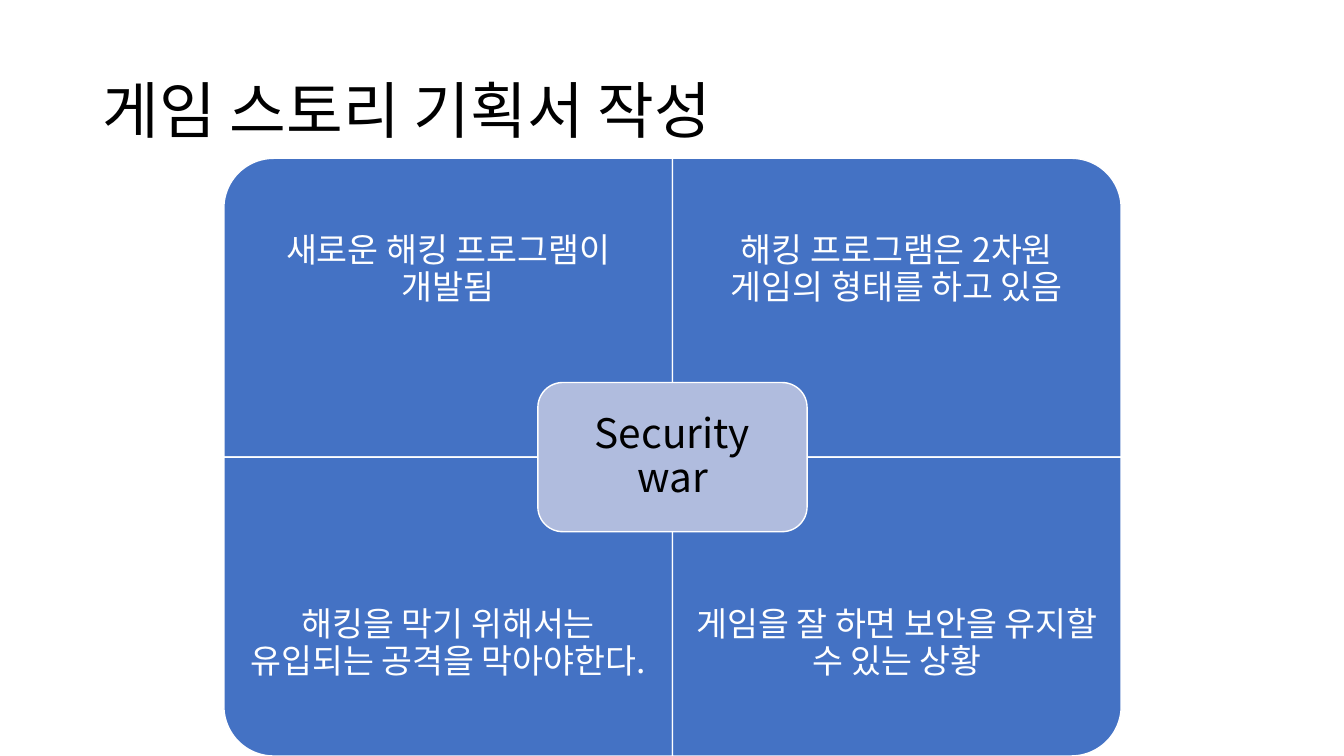
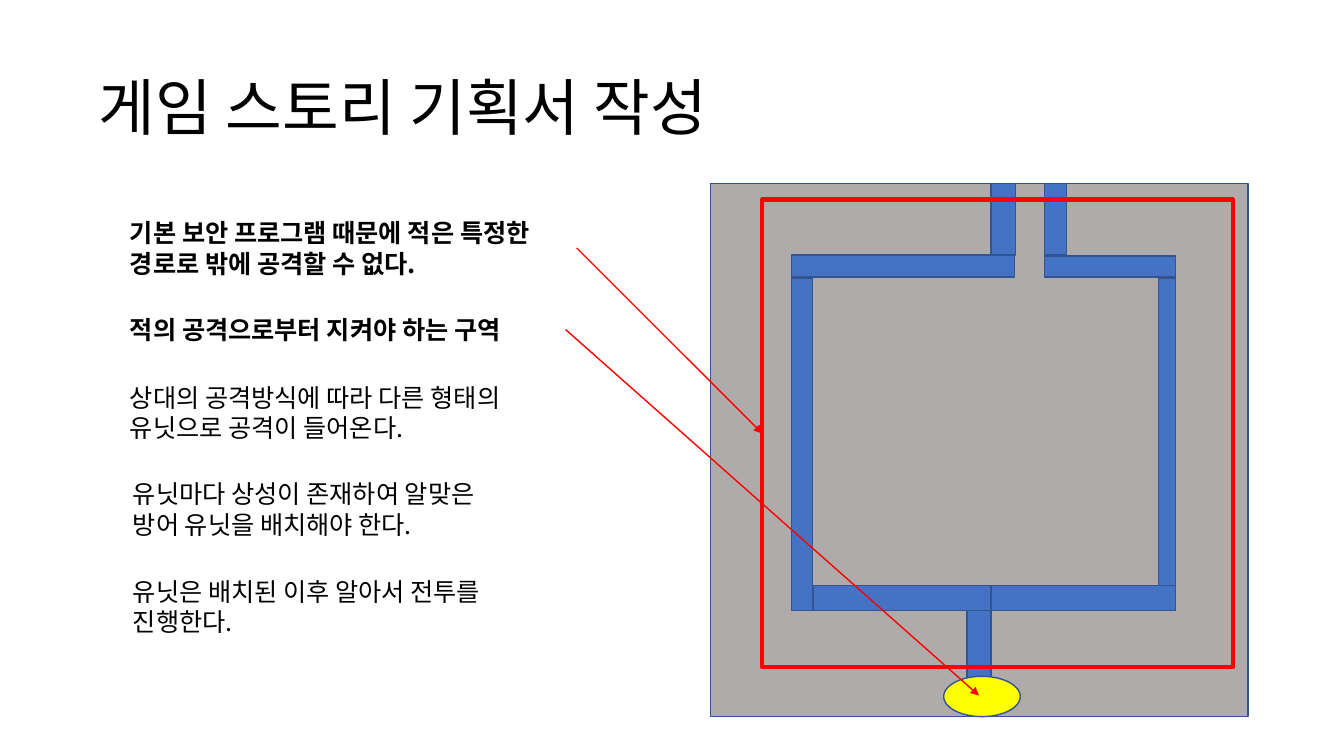
from lxml.etree import SubElement
from pptx import Presentation
from pptx.dml.color import RGBColor
from pptx.enum.shapes import MSO_CONNECTOR, MSO_SHAPE
from pptx.enum.text import MSO_ANCHOR, PP_ALIGN
from pptx.oxml.ns import qn
from pptx.util import Inches, Pt

FONT = "Noto Sans CJK KR"
BLUE, NAVY, LILAC, GRAY = "4472C4", "325491", "B0BCDE", "AFABAB"
RED, YELLOW, WHITE, BLACK = "FF0000", "FFFF00", "FFFFFF", "000000"

TITLE = "게임 스토리 기획서 작성"

# Row by row; each rotation turns the rounded corner outwards
QUADRANTS = [
    [("새로운 해킹 프로그램이\n개발됨", 270),
     ("해킹 프로그램은 2차원\n게임의 형태를 하고 있음", 0)],
    [("해킹을 막기 위해서는 유입되는 공격을 막아야한다.", 180),
     ("게임을 잘 하면 보안을 유지할 수 있는 상황", 90)],
]
CORE = "Security war"
MATRIX_LEFT, MATRIX_TOP = 2.22, 1.57
CELL_W, CELL_H = 4.45, 2.965
LABEL_H = 2.22
CORE_W, CORE_H = 2.67, 1.48

# Text, left, top, width, bold
NOTES = [
    ("기본 보안 프로그램 때문에 적은 특정한 경로로 밖에 공격할 수 없다.", 1.19, 2.11, 4.52, True),
    ("적의 공격으로부터 지켜야 하는 구역", 1.19, 3.07, 4.41, True),
    ("상대의 공격방식에 따라 다른 형태의 유닛으로 공격이 들어온다.", 1.19, 3.74, 4.07, False),
    ("유닛마다 상성이 존재하여 알맞은 방어 유닛을 배치해야 한다.", 1.22, 4.7, 4.07, False),
    ("유닛은 배치된 이후 알아서 전투를 진행한다.", 1.22, 5.67, 4.07, False),
]
NOTE_H = 0.71

# Left, top, width, height
BOARD = (7.05, 1.82, 5.33, 5.29)
PATH_SEGMENTS = [
    (7.85, 2.53, 2.21, 0.22),
    (7.85, 2.76, 0.21, 3.3),
    (8.07, 5.81, 1.76, 0.25),
    (9.59, 6.06, 0.24, 0.94),
    (9.83, 1.82, 0.24, 0.71),
    (10.36, 1.82, 0.22, 0.71),
    (10.36, 2.54, 1.3, 0.21),
    (11.49, 2.76, 0.17, 3.05),
    (9.83, 5.81, 1.83, 0.25),
]
BASE = (9.36, 6.71, 0.76, 0.4)
ROUTE_FRAME = (7.56, 1.98, 4.67, 4.64)
ARROWS = [((5.61, 3.27), (9.71, 6.9)), ((5.72, 2.46), (7.56, 4.3))]


def color(hex_code):
    return RGBColor.from_string(hex_code)


def inches(values):
    return [Inches(value) for value in values]


def write(frame, text, size=18, ink=BLACK, bold=False, align=PP_ALIGN.LEFT,
          anchor=MSO_ANCHOR.TOP, spacing=1.0, inset=(0.1, 0.05)):
    frame.word_wrap = True
    frame.vertical_anchor = anchor
    frame.margin_left = frame.margin_right = Inches(inset[0])
    frame.margin_top = frame.margin_bottom = Inches(inset[1])
    paragraph = frame.paragraphs[0]
    paragraph.text = text
    paragraph.alignment = align
    paragraph.line_spacing = spacing
    for run in paragraph.runs:
        run.font.size = Pt(size)
        run.font.bold = bold
        run.font.name = FONT
        run.font.color.rgb = color(ink)
        SubElement(run.font._element, qn("a:ea"), typeface=FONT)


def add_text(slide, box, text, **style):
    write(slide.shapes.add_textbox(*inches(box)).text_frame, text, **style)


def add_block(slide, kind, box, fill=None, line=NAVY, weight=1, rotation=0):
    block = slide.shapes.add_shape(kind, *inches(box))
    block.shadow.inherit = False
    block.rotation = rotation
    if fill:
        block.fill.solid()
        block.fill.fore_color.rgb = color(fill)
    else:
        block.fill.background()
    block.line.color.rgb = color(line)
    block.line.width = Pt(weight)
    return block


def add_arrow(slide, start, end):
    arrow = slide.shapes.add_connector(MSO_CONNECTOR.STRAIGHT, *inches(start + end))
    arrow.line.color.rgb = color(RED)
    arrow.line.width = Pt(1)
    SubElement(arrow.line._get_or_add_ln(), qn("a:tailEnd"), type="triangle")
    SubElement(arrow._element.spPr, qn("a:effectLst"))


def add_titled_slide(deck, left, top):
    slide = deck.slides.add_slide(deck.slide_layouts[6])
    add_text(slide, (left, top, 11.5, 1.45), TITLE, size=44,
             anchor=MSO_ANCHOR.MIDDLE, spacing=0.9)
    return slide


def add_quadrant(slide, row, column, text, rotation):
    left = MATRIX_LEFT + column * CELL_W
    top = MATRIX_TOP + row * CELL_H
    # A quarter turn swaps the sides around the same centre
    width, height = (CELL_H, CELL_W) if rotation % 180 else (CELL_W, CELL_H)
    box = (left + (CELL_W - width) / 2, top + (CELL_H - height) / 2, width, height)
    add_block(slide, MSO_SHAPE.ROUND_1_RECTANGLE, box, BLUE, WHITE, rotation=rotation)
    label_top = top + row * (CELL_H - LABEL_H)
    add_text(slide, (left, label_top, CELL_W, LABEL_H), text, size=24, ink=WHITE,
             align=PP_ALIGN.CENTER, anchor=MSO_ANCHOR.MIDDLE, spacing=0.9,
             inset=(0.19, 0.19))


def build_story(deck):
    slide = add_titled_slide(deck, 0.92, 0.4)
    for row, cells in enumerate(QUADRANTS):
        for column, (text, rotation) in enumerate(cells):
            add_quadrant(slide, row, column, text, rotation)
    core_box = (MATRIX_LEFT + CELL_W - CORE_W / 2, MATRIX_TOP + CELL_H - CORE_H / 2,
                CORE_W, CORE_H)
    core = add_block(slide, MSO_SHAPE.ROUNDED_RECTANGLE, core_box, LILAC, WHITE)
    write(core.text_frame, CORE, size=29, align=PP_ALIGN.CENTER,
          anchor=MSO_ANCHOR.MIDDLE, spacing=0.9, inset=(0.12, 0.12))


def build_map(deck):
    slide = add_titled_slide(deck, 0.88, 0.37)
    add_block(slide, MSO_SHAPE.RECTANGLE, BOARD, GRAY)
    for segment in PATH_SEGMENTS:
        add_block(slide, MSO_SHAPE.RECTANGLE, segment, BLUE)
    add_block(slide, MSO_SHAPE.OVAL, BASE, YELLOW)
    for text, left, top, width, bold in NOTES:
        add_text(slide, (left, top, width, NOTE_H), text, bold=bold)
    for start, end in ARROWS:
        add_arrow(slide, start, end)
    add_block(slide, MSO_SHAPE.RECTANGLE, ROUTE_FRAME, line=RED, weight=3)


def main():
    deck = Presentation()
    deck.slide_width, deck.slide_height = Inches(13.33), Inches(7.5)
    build_story(deck)
    build_map(deck)
    deck.save("out.pptx")


if __name__ == "__main__":
    main()
